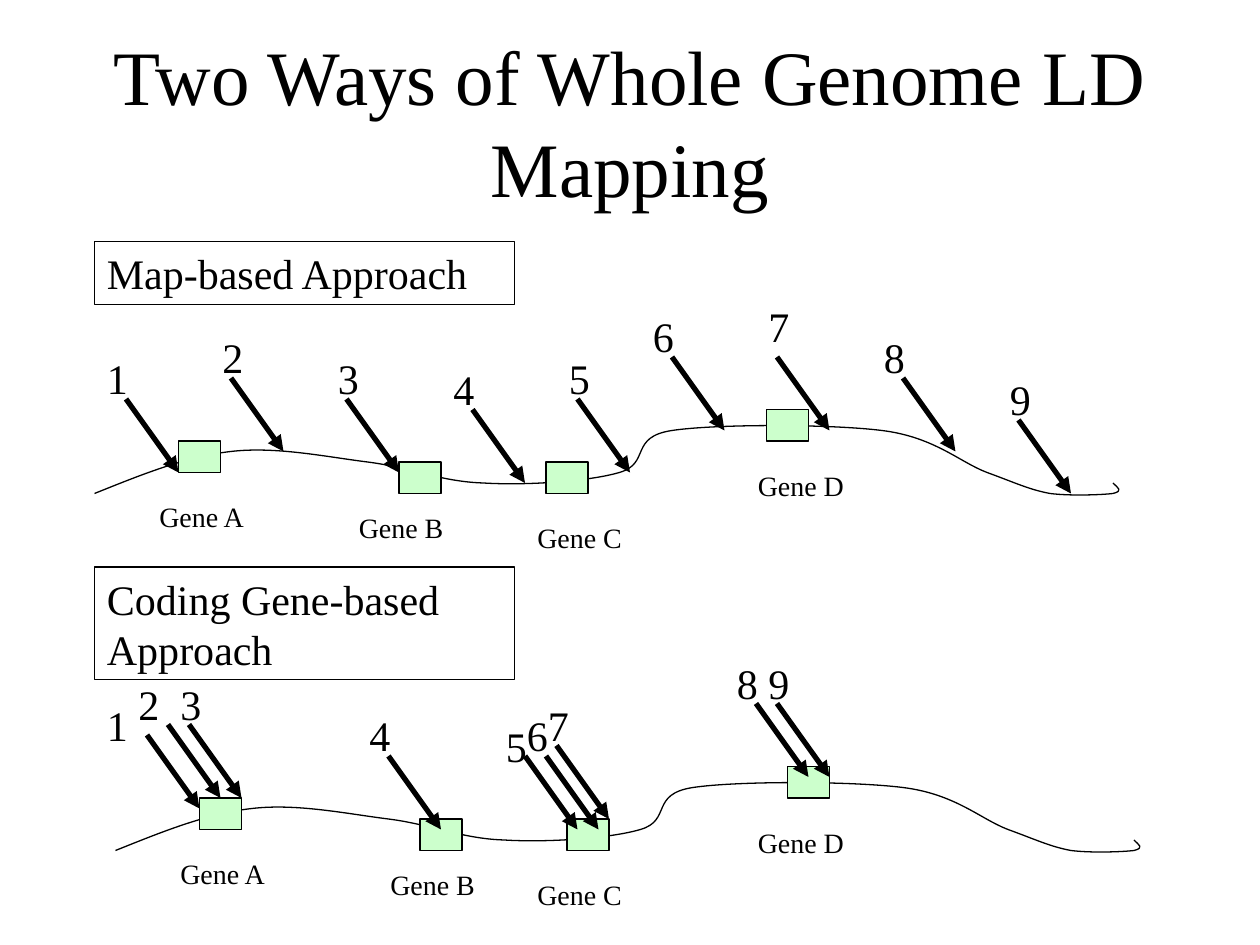
"""Build a slide comparing two ways of whole genome LD mapping."""
from dataclasses import dataclass

from lxml import etree
from pptx import Presentation
from pptx.dml.color import RGBColor
from pptx.enum.shapes import MSO_CONNECTOR, MSO_SHAPE
from pptx.enum.text import MSO_ANCHOR, MSO_AUTO_SIZE, PP_ALIGN
from pptx.oxml.ns import qn
from pptx.shapes.autoshape import Shape
from pptx.shapes.shapetree import SlideShapes
from pptx.util import Emu, Pt

PX = 9525
FONT = "Times New Roman"
BLACK = RGBColor(0x00, 0x00, 0x00)
GENE_GREEN = RGBColor(0xCC, 0xFF, 0xCC)
RECTANGLE = MSO_SHAPE.RECTANGLE
STRAIGHT = MSO_CONNECTOR.STRAIGHT
TOP, MIDDLE = MSO_ANCHOR.TOP, MSO_ANCHOR.MIDDLE
LEFT, CENTER = PP_ALIGN.LEFT, PP_ALIGN.CENTER
NO_FIT, GROW = MSO_AUTO_SIZE.NONE, MSO_AUTO_SIZE.SHAPE_TO_FIT_TEXT

Point = tuple[int, int]

ARROW_REACH = (40, 56)
GENE_SIZE = (32, 24)
GENE_OFFSETS = ((64, -40), (232, -24), (344, -24), (512, -64))
GENE_NAMES = ("Gene A", "Gene B", "Gene C", "Gene D")
CURVE = (
    (35, -14), (69, -28), (104, -32),
    (138, -36), (176, -28), (208, -24),
    (240, -20), (264, -9), (296, -8),
    (328, -6), (376, -9), (400, -16),
    (424, -23), (407, -43), (440, -48),
    (473, -53), (560, -53), (600, -48),
    (640, -43), (659, -24), (680, -16),
    (702, -8), (712, -3), (728, 0),
    (744, 2), (768, 1), (776, 0),
    (784, -2), (780, -4), (776, -8),
)


@dataclass(frozen=True)
class Marker:
    label: Point
    arrow: Point


@dataclass(frozen=True)
class Approach:
    heading: str
    heading_top: int
    heading_height: int
    start: Point
    markers: tuple[Marker, ...]
    gene_labels: tuple[Point, ...]


APPROACHES = (
    Approach(
        "Map-based Approach", 184, 48, (72, 376),
        (
            Marker((72, 264), (96, 304)),
            Marker((160, 248), (176, 288)),
            Marker((248, 264), (264, 304)),
            Marker((336, 272), (360, 312)),
            Marker((424, 264), (440, 304)),
            Marker((488, 232), (512, 272)),
            Marker((576, 224), (592, 272)),
            Marker((664, 248), (688, 288)),
            Marker((760, 280), (776, 320)),
        ),
        ((112, 376), (264, 384), (400, 392), (568, 352)),
    ),
    Approach(
        "Coding Gene-based Approach", 432, 86, (88, 648),
        (
            Marker((72, 528), (112, 560)),
            Marker((96, 512), (128, 552)),
            Marker((128, 512), (144, 552)),
            Marker((272, 536), (296, 576)),
            Marker((376, 544), (400, 576)),
            Marker((392, 536), (416, 576)),
            Marker((408, 528), (424, 568)),
            Marker((552, 496), (576, 536)),
            Marker((576, 496), (592, 536)),
        ),
        ((128, 648), (288, 656), (400, 664), (568, 624)),
    ),
)


def px(*lengths: int) -> list[Emu]:
    """Turn pixel lengths into EMU."""
    return [Emu(length * PX) for length in lengths]


def write(box: Shape, text: str, *, size: int, align: PP_ALIGN = LEFT,
          anchor: MSO_ANCHOR = TOP, fit: MSO_AUTO_SIZE = GROW) -> None:
    """Put formatted text into a box."""
    frame = box.text_frame
    frame.word_wrap = True
    frame.auto_size = fit
    frame.vertical_anchor = anchor
    para = frame.paragraphs[0]
    para.alignment = align
    span = para.add_run()
    span.text = text
    span.font.name = FONT
    span.font.size = Pt(size)
    span.font.color.rgb = BLACK


def outline(shape: Shape, fill: RGBColor | None = None) -> None:
    """Give a shape a thin black line and an optional fill."""
    shape.shadow.inherit = False
    shape.line.color.rgb = BLACK
    shape.line.width = Pt(0.75)
    if fill is None:
        shape.fill.background()
    else:
        shape.fill.solid()
        shape.fill.fore_color.rgb = fill


def draw_chromosome(shapes: SlideShapes, start: Point) -> None:
    """Draw the genome curve, joining vertices in threes as Bezier segments."""
    left, top = start
    builder = shapes.build_freeform(left, top, scale=PX)
    builder.add_line_segments([(left + x, top + y) for x, y in CURVE], close=False)
    curve = builder.convert_to_shape()
    outline(curve)
    lines = list(curve.element.iter(qn("a:lnTo")))
    for index in range(0, len(lines), 3):
        segment = etree.Element(qn("a:cubicBezTo"))
        lines[index].addprevious(segment)
        for line in lines[index:index + 3]:
            segment.append(line[0])
            line.getparent().remove(line)


def draw_arrow(shapes: SlideShapes, start: Point) -> None:
    """Draw a marker arrow from its start point."""
    x, y = start
    reach_x, reach_y = ARROW_REACH
    arrow = shapes.add_connector(STRAIGHT, *px(x, y, x + reach_x, y + reach_y))
    arrow.line.color.rgb = BLACK
    arrow.line.width = Pt(3)
    properties = arrow.element.find(qn("p:spPr"))
    etree.SubElement(properties.find(qn("a:ln")), qn("a:tailEnd"), type="triangle")
    etree.SubElement(properties, qn("a:effectLst"))


def draw_approach(shapes: SlideShapes, approach: Approach) -> None:
    """Draw one approach with its genes, markers and labels."""
    left, top = approach.start
    draw_chromosome(shapes, approach.start)
    for x, y in GENE_OFFSETS:
        gene = shapes.add_shape(RECTANGLE, *px(left + x, top + y, *GENE_SIZE))
        outline(gene, GENE_GREEN)
    for marker in approach.markers:
        draw_arrow(shapes, marker.arrow)
    for number, marker in enumerate(approach.markers, start=1):
        write(shapes.add_textbox(*px(*marker.label, 40, 48)), str(number), size=24)
    heading = shapes.add_shape(
        RECTANGLE, *px(72, approach.heading_top, 320, approach.heading_height))
    outline(heading)
    write(heading, approach.heading, size=24)
    for name, place in zip(GENE_NAMES, approach.gene_labels):
        write(shapes.add_textbox(*px(*place, 96, 36)), name, size=16)


def main() -> None:
    """Build and save the deck."""
    deck = Presentation()
    deck.slide_width, deck.slide_height = px(960, 720)
    page = deck.slides.add_slide(deck.slide_layouts[6])
    title = page.shapes.add_textbox(*px(72, 32, 816, 120))
    write(title, "Two Ways of Whole Genome LD Mapping", size=44,
          align=CENTER, anchor=MIDDLE, fit=NO_FIT)
    for approach in APPROACHES:
        draw_approach(page.shapes, approach)
    deck.save("out.pptx")


if __name__ == "__main__":
    main()
